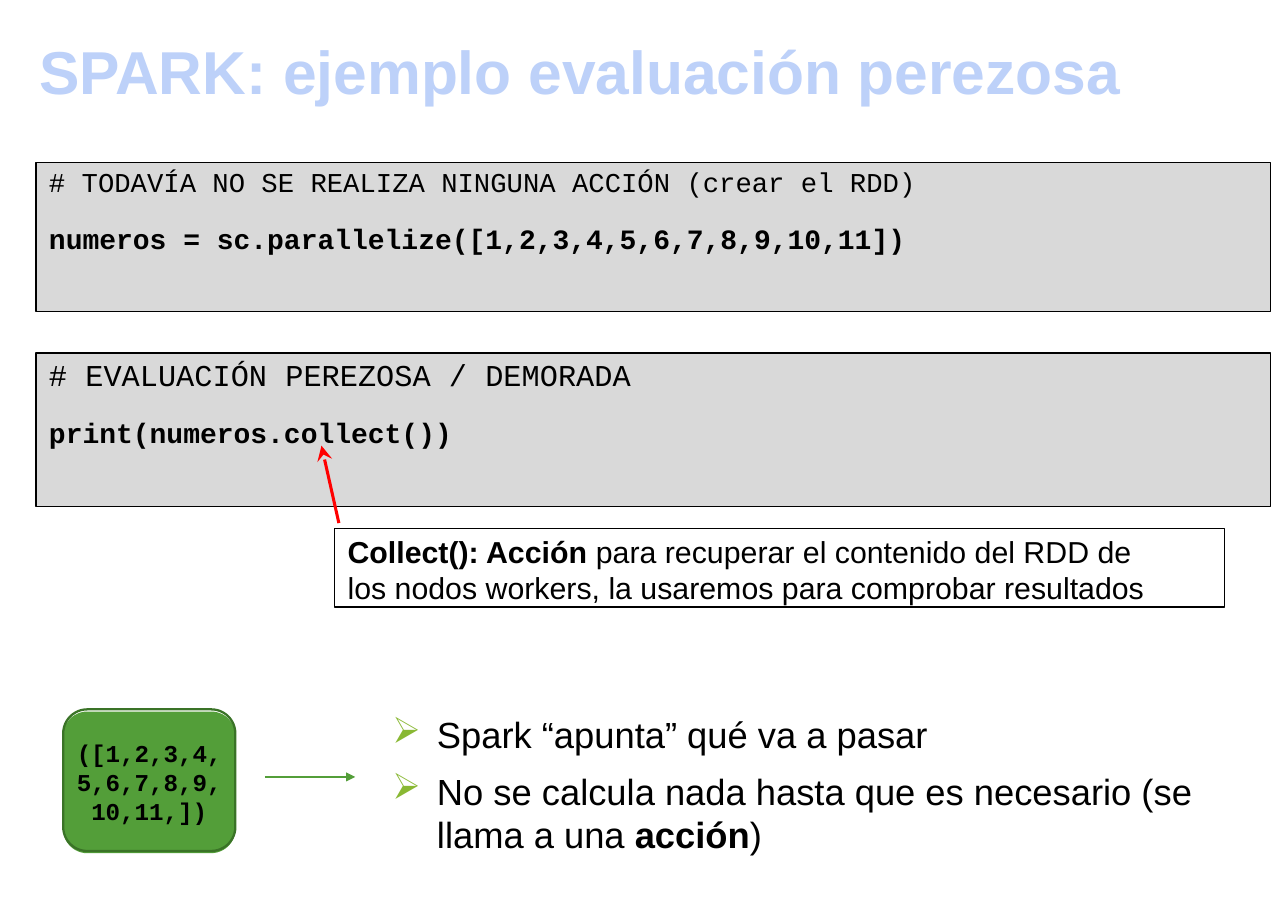
from dataclasses import dataclass

from lxml import etree
from pptx import Presentation
from pptx.dml.color import RGBColor
from pptx.enum.shapes import MSO_CONNECTOR, MSO_SHAPE
from pptx.enum.text import MSO_ANCHOR, PP_ALIGN
from pptx.oxml.ns import qn
from pptx.util import Inches, Pt

RECTANGLE = MSO_SHAPE.RECTANGLE
ROUNDED = MSO_SHAPE.ROUNDED_RECTANGLE
STRAIGHT = MSO_CONNECTOR.STRAIGHT
LEFT, CENTER = PP_ALIGN.LEFT, PP_ALIGN.CENTER
TOP, MIDDLE = MSO_ANCHOR.TOP, MSO_ANCHOR.MIDDLE

BLACK, GREEN, DARK_GREEN = "000000", "539E39", "3A7327"
TITLE_BLUE, CODE_GRAY, BULLET_GREEN, RED = "BDD1F9", "D9D9D9", "89B833", "FF0000"
SANS, MONO, SYMBOLS = "Arial", "Courier New", "Wingdings"
ARROWHEAD_BULLET = "Ø"  # drawn as an arrowhead in the symbol font


@dataclass
class Box:
    left: float
    top: float
    width: float
    height: float
    fill: str | None = None
    line: str | None = None
    line_width: float = 1


@dataclass
class CodeBlock:
    box: Box
    comment: str
    comment_size: float
    code: str


@dataclass
class Arrow:
    start: tuple[float, float]
    tip: tuple[float, float]
    color: str
    width: float
    head: str
    head_size: str


CODE_BLOCKS = [
    CodeBlock(Box(0.33, 1.49, 11.33, 1.37, CODE_GRAY, BLACK),
              "# TODAVÍA NO SE REALIZA NINGUNA ACCIÓN (crear el RDD)", 18,
              "numeros = sc.parallelize([1,2,3,4,5,6,7,8,9,10,11])"),
    CodeBlock(Box(0.33, 3.24, 11.33, 1.41, CODE_GRAY, BLACK),
              "# EVALUACIÓN PEREZOSA / DEMORADA", 20,
              "print(numeros.collect())"),
]
ARROWS = [
    Arrow((3.11, 4.8), (2.95, 4.09), RED, 2, "stealth", "lg"),
    Arrow((2.43, 7.13), (3.26, 7.13), GREEN, 1.5, "triangle", "med"),
]
BULLETS = [
    [("Spark “apunta” qué va a pasar", False)],
    [("No se calcula nada hasta que es necesario (se llama a una ", False),
     ("acción", True), (")", False)],
]


def rgb(color: str) -> RGBColor:
    return RGBColor.from_string(color)


def add_box(slide, box: Box, kind=RECTANGLE):
    shape = slide.shapes.add_shape(kind, Inches(box.left), Inches(box.top),
                                   Inches(box.width), Inches(box.height))
    shape.shadow.inherit = False
    if box.fill:
        shape.fill.solid()
        shape.fill.fore_color.rgb = rgb(box.fill)
    else:
        shape.fill.background()
    if box.line:
        shape.line.color.rgb = rgb(box.line)
        shape.line.width = Pt(box.line_width)
    else:
        shape.line.fill.background()
    return shape


def add_text_box(slide, box: Box):
    return slide.shapes.add_textbox(Inches(box.left), Inches(box.top),
                                    Inches(box.width), Inches(box.height))


def set_frame(shape, left: float = 0, top: float = 0, right: float = 0,
              anchor=TOP) -> None:
    frame = shape.text_frame
    frame.word_wrap = True
    frame.vertical_anchor = anchor
    frame.margin_left, frame.margin_right = Inches(left), Inches(right)
    frame.margin_top, frame.margin_bottom = Inches(top), 0


def add_bullet(paragraph) -> None:
    properties = paragraph._p.get_or_add_pPr()
    properties.set("marL", str(Inches(0.43)))
    properties.set("indent", str(Inches(-0.41)))
    color = etree.SubElement(properties, qn("a:buClr"))
    etree.SubElement(color, qn("a:srgbClr"), val=BULLET_GREEN)
    etree.SubElement(properties, qn("a:buFont"), typeface=SYMBOLS, charset="2")
    etree.SubElement(properties, qn("a:buChar"), char=ARROWHEAD_BULLET)


def write(shape, runs: list[tuple[str, bool]], *, size: float, font: str = SANS,
          color: str = BLACK, align=LEFT, space_before: float = 0,
          line_spacing: float = 1, bullet: bool = False) -> None:
    """Write (text, bold) runs as the next paragraph of a shape."""
    frame = shape.text_frame
    paragraph = frame.add_paragraph() if frame.text else frame.paragraphs[0]
    paragraph.alignment = align
    paragraph.line_spacing = line_spacing
    paragraph.space_before = Pt(space_before)
    if bullet:
        add_bullet(paragraph)
    for text, bold in runs:
        run = paragraph.add_run()
        run.text = text
        run.font.name, run.font.size, run.font.bold = font, Pt(size), bold
        run.font.color.rgb = rgb(color)


def add_arrow(slide, arrow: Arrow) -> None:
    points = [Inches(value) for value in (*arrow.start, *arrow.tip)]
    connector = slide.shapes.add_connector(STRAIGHT, *points)
    connector.line.color.rgb = rgb(arrow.color)
    connector.line.width = Pt(arrow.width)
    etree.SubElement(connector.line._get_or_add_ln(), qn("a:tailEnd"),
                     type=arrow.head, w=arrow.head_size, len=arrow.head_size)
    etree.SubElement(connector._element.spPr, qn("a:effectLst"))


def main() -> None:
    presentation = Presentation()
    presentation.slide_width, presentation.slide_height = Inches(11.82), Inches(8.47)
    slide = presentation.slides.add_slide(presentation.slide_layouts[6])

    # Title
    title = add_text_box(slide, Box(0.02, 0.26, 10.6, 0.77))
    set_frame(title, left=0.1, top=0.05, right=0.1)
    write(title, [("SPARK: ejemplo evaluación perezosa", True)], size=40,
          color=TITLE_BLUE, align=CENTER)

    # Code blocks
    for block in CODE_BLOCKS:
        code_box = add_box(slide, block.box)
        set_frame(code_box, left=0.12, top=0.03)
        write(code_box, [(block.comment, False)], size=block.comment_size, font=MONO)
        write(code_box, [(block.code, True)], size=18.5, font=MONO, space_before=15.2)

    # Explanation of collect()
    callout = add_box(slide, Box(3.07, 4.85, 8.17, 0.72, None, BLACK, 0.78))
    set_frame(callout, left=0.12, top=0.06, right=0.55)
    write(callout, [("Collect(): Acción ", True),
                    ("para recuperar el contenido del RDD de los nodos workers, "
                     "la usaremos para comprobar resultados", False)],
          size=20, line_spacing=0.98)

    # Data card: fill with a slightly raised outline
    card = add_box(slide, Box(0.58, 6.53, 1.58, 1.3, GREEN), ROUNDED)
    outline = add_box(slide, Box(0.58, 6.51, 1.58, 1.3, None, DARK_GREEN, 1.5), ROUNDED)
    for shape in (card, outline):
        shape.adjustments[0] = 0.17
    set_frame(outline, left=0.03, top=0.03, right=0.03, anchor=MIDDLE)
    write(outline, [("([1,2,3,4,5,6,7,8,9,10,11,])", True)], size=16, font=MONO,
          align=CENTER)

    # Bullets
    notes = add_text_box(slide, Box(3.58, 6.41, 8.08, 1.46))
    set_frame(notes, top=0.13)
    for index, runs in enumerate(BULLETS):
        write(notes, runs, size=24, space_before=8.3 * index, bullet=True)

    # Arrows
    for arrow in ARROWS:
        add_arrow(slide, arrow)

    presentation.save("out.pptx")


if __name__ == "__main__":
    main()
